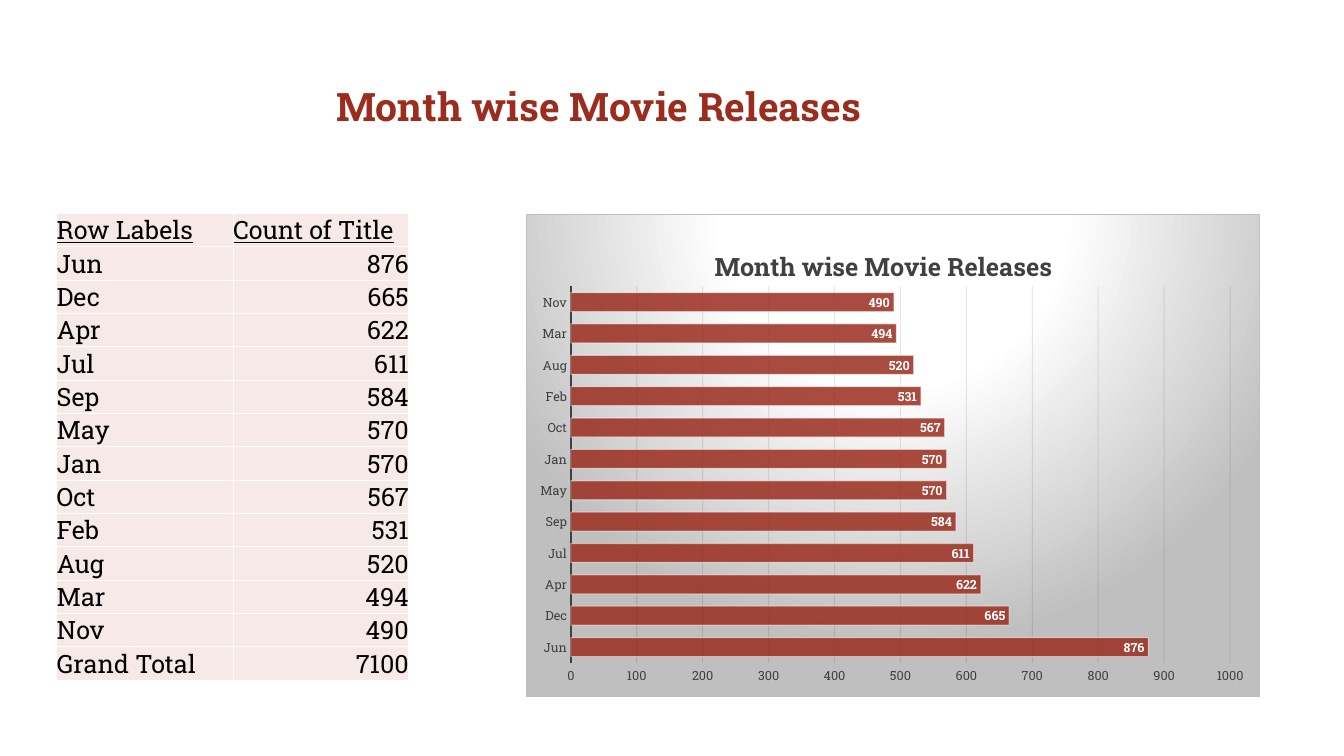
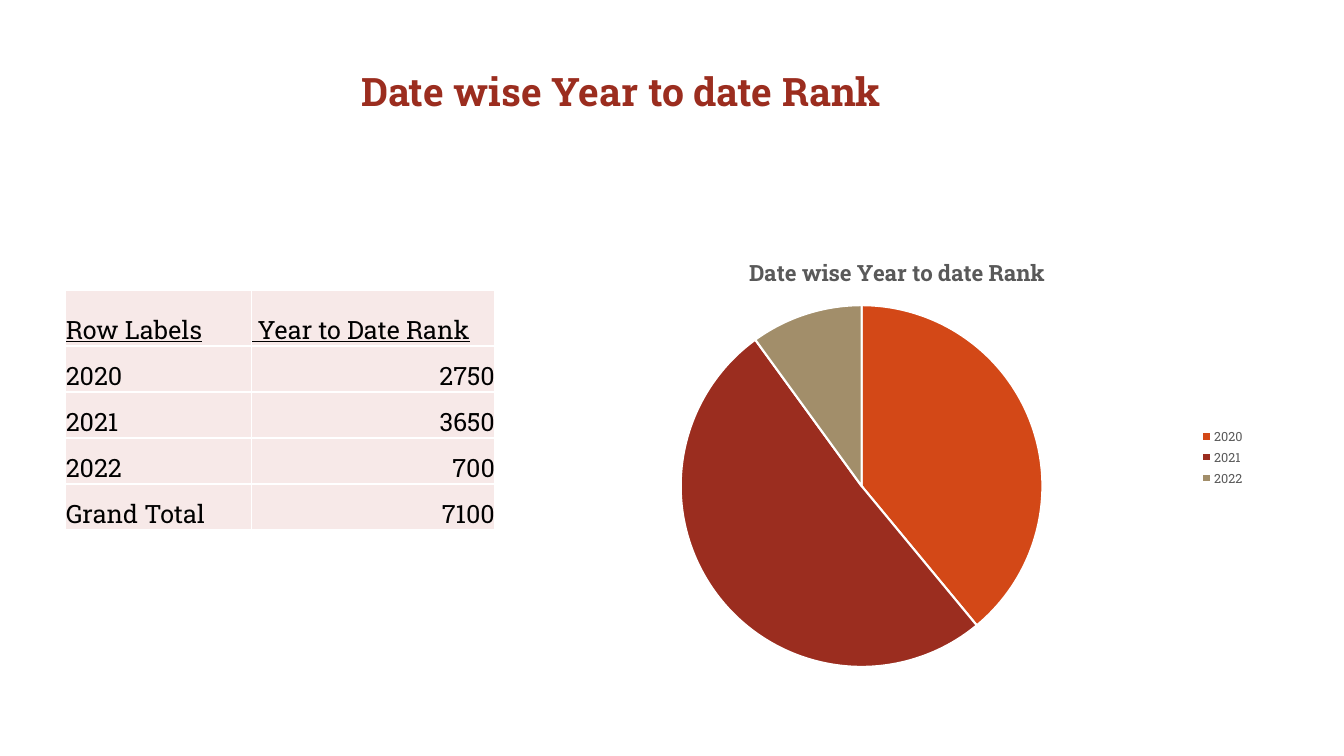
from dataclasses import dataclass

from lxml.etree import SubElement
from pptx import Presentation
from pptx.chart.chart import Chart
from pptx.chart.data import CategoryChartData
from pptx.dml.color import RGBColor
from pptx.enum.chart import XL_CHART_TYPE as ChartType
from pptx.enum.chart import XL_LABEL_POSITION as LabelPosition
from pptx.enum.chart import XL_LEGEND_POSITION as LegendPosition
from pptx.enum.chart import XL_TICK_MARK as TickMark
from pptx.enum.text import MSO_ANCHOR as Anchor
from pptx.enum.text import PP_ALIGN as Align
from pptx.oxml import parse_xml
from pptx.oxml.ns import nsdecls, qn
from pptx.slide import Slide
from pptx.text.text import Font
from pptx.util import Pt

FONT = "Roboto Slab"
COLORS = {
    "brick": "9B2D1F",
    "orange": "D34817",
    "khaki": "A28E6A",
    "blush": "F7E9E8",
    "white": "FFFFFF",
    "black": "000000",
    "ink": "0D0D0D",
    "dark": "404040",
    "gray": "595959",
    "silver": "BFBFBF",
}
TITLE_FORMAT = {"size": Pt(28), "bold": True}
CELL_FORMAT = {"size": Pt(18), "bold": False}
SMALL_FORMAT = {"size": Pt(9), "bold": False}
LABEL_FORMAT = {"size": Pt(9), "bold": True}


@dataclass
class Box:
    """A place on the slide, in points."""
    left: float
    top: float
    width: float
    height: float

    def lengths(self) -> tuple:
        return tuple(Pt(n) for n in (self.left, self.top, self.width, self.height))


@dataclass
class TableSpec:
    left: float
    top: float
    columns: list[float]
    heights: list[float]
    rows: list[tuple[str, str]]


@dataclass
class ChartSpec:
    kind: ChartType
    box: Box
    data: dict[str, int]
    title_size: float
    title_color: str
    title_layout: dict[str, float]  # fractions of the chart
    plot_layout: dict[str, float]


@dataclass
class Page:
    title: str
    title_box: Box
    table: TableSpec
    chart: ChartSpec


def rgb(name: str) -> RGBColor:
    return RGBColor.from_string(COLORS[name])


def format_font(font: Font, values: dict, color: str) -> None:
    for name, value in {"name": FONT, **values}.items():
        setattr(font, name, value)
    font.color.rgb = rgb(color)


def set_alpha(fill_parent, percent: int) -> None:
    """Make the solid color inside a fill or line element translucent."""
    color = fill_parent.find(qn("a:solidFill")).find(qn("a:srgbClr"))
    SubElement(color, qn("a:alpha")).set("val", str(percent * 1000))


def add_title(slide: Slide, text: str, box: Box) -> None:
    frame = slide.shapes.add_textbox(*box.lengths()).text_frame
    frame.word_wrap = True
    paragraph = frame.paragraphs[0]
    paragraph.alignment = Align.CENTER
    run = paragraph.add_run()
    run.text = text
    format_font(run.font, TITLE_FORMAT, "brick")


# Tables
def fill_cell(cell, text: str, is_header: bool, is_number: bool) -> None:
    for side in ("left", "top", "right", "bottom"):
        setattr(cell, f"margin_{side}", 0)
    cell.vertical_anchor = Anchor.BOTTOM
    properties = cell._tc.get_or_add_tcPr()
    for side in "LRTB":
        properties.append(parse_xml(
            f'<a:ln{side} {nsdecls("a")} w="{Pt(1)}"><a:solidFill>'
            f'<a:srgbClr val="{COLORS["white"]}"/></a:solidFill></a:ln{side}>'))
    cell.fill.solid()
    cell.fill.fore_color.rgb = rgb("blush")
    paragraph = cell.text_frame.paragraphs[0]
    paragraph.alignment = Align.RIGHT if is_number else Align.LEFT
    run = paragraph.add_run()
    run.text = text
    format_font(run.font, {**CELL_FORMAT, "underline": is_header}, "black")


def add_data_table(slide: Slide, spec: TableSpec) -> None:
    box = Box(spec.left, spec.top, sum(spec.columns), sum(spec.heights))
    table = slide.shapes.add_table(
        len(spec.rows), len(spec.columns), *box.lengths()).table
    table.first_row = table.horz_banding = False
    for column, width in zip(table.columns, spec.columns):
        column.width = Pt(width)
    for i, (height, texts) in enumerate(zip(spec.heights, spec.rows)):
        table.rows[i].height = Pt(height)
        for j, text in enumerate(texts):
            fill_cell(table.cell(i, j), text, i == 0, i > 0 and j > 0)


# Charts
def set_layout(parent, values: dict[str, float], inner: bool) -> None:
    """Place a chart part by fractions of the chart."""
    for old in parent.findall(qn("c:layout")):
        parent.remove(old)
    target = '<c:layoutTarget val="inner"/>' if inner else ""
    modes = '<c:xMode val="edge"/><c:yMode val="edge"/>'
    parts = "".join(f'<c:{key} val="{value}"/>' for key, value in values.items())
    layout = parse_xml(f'<c:layout {nsdecls("c")}><c:manualLayout>'
                       f'{target}{modes}{parts}</c:manualLayout></c:layout>')
    text = parent.find(qn("c:tx"))
    if text is None:
        parent.insert(0, layout)
    else:
        text.addnext(layout)


def style_bars(chart: Chart) -> None:
    plot = chart.plots[0]
    plot.gap_width = 65
    plot.vary_by_categories = False
    series = plot.series[0]
    series.format.fill.solid()
    series.format.fill.fore_color.rgb = rgb("brick")
    series.format.line.width = Pt(0.75)
    series.format.line.color.rgb = rgb("white")
    properties = series._element.find(qn("c:spPr"))
    set_alpha(properties, 85)
    set_alpha(properties.find(qn("a:ln")), 50)

    plot.has_data_labels = True
    labels = plot.data_labels
    labels.show_value = True
    labels.position = LabelPosition.INSIDE_END
    format_font(labels.font, LABEL_FORMAT, "white")

    months, counts = chart.category_axis, chart.value_axis
    for axis in (months, counts):
        axis.major_tick_mark = axis.minor_tick_mark = TickMark.NONE
        format_font(axis.tick_labels.font, SMALL_FORMAT, "dark")
    months.format.line.width = Pt(1.5)
    months.format.line.color.rgb = rgb("dark")
    counts.format.line.fill.background()
    for name, value in {"minimum_scale": 0, "maximum_scale": 1000,
                        "major_unit": 100, "has_major_gridlines": True}.items():
        setattr(counts, name, value)
    grid = counts.major_gridlines.format.line
    grid.width = Pt(0.75)
    grid.color.rgb = rgb("ink")
    grid_element = counts._element.find(qn("c:majorGridlines"))
    set_alpha(grid_element.find(qn("c:spPr")).find(qn("a:ln")), 10)

    # Radial background and border
    stops = "".join(
        f'<a:gs pos="{position * 1000}"><a:srgbClr val="{COLORS[color]}"/></a:gs>'
        for position, color in ((0, "white"), (39, "white"), (100, "silver")))
    chart._chartSpace.find(qn("c:chart")).addnext(parse_xml(
        f'<c:spPr {nsdecls("c", "a")}><a:gradFill><a:gsLst>{stops}</a:gsLst>'
        '<a:path path="circle"><a:fillToRect l="50000" t="-80000" r="50000" '
        f'b="180000"/></a:path></a:gradFill><a:ln w="{Pt(0.75)}"><a:solidFill>'
        f'<a:srgbClr val="{COLORS["silver"]}"/></a:solidFill></a:ln></c:spPr>'))


def style_pie(chart: Chart) -> None:
    plot = chart.plots[0]
    plot.vary_by_categories = True
    for i, color in enumerate(("orange", "brick", "khaki")):
        point = plot.series[0].points[i].format
        point.fill.solid()
        point.fill.fore_color.rgb = rgb(color)
        point.line.width = Pt(1.5)
        point.line.color.rgb = rgb("white")
    chart.has_legend = True
    chart.legend.position = LegendPosition.RIGHT
    chart.legend.include_in_layout = False
    format_font(chart.legend.font, SMALL_FORMAT, "gray")


def add_data_chart(slide: Slide, title: str, spec: ChartSpec) -> None:
    data = CategoryChartData()
    data.categories = list(spec.data)
    data.add_series("Series 1", list(spec.data.values()))
    chart = slide.shapes.add_chart(spec.kind, *spec.box.lengths(), data).chart
    chart.has_legend = False
    format_font(chart.font, {"size": Pt(10)}, "black")
    chart.has_title = True
    run = chart.chart_title.text_frame.paragraphs[0].add_run()
    run.text = title
    format_font(run.font, {"size": Pt(spec.title_size), "bold": True},
                spec.title_color)
    if spec.kind == ChartType.PIE:
        style_pie(chart)
    else:
        style_bars(chart)
    set_layout(chart.chart_title._element, spec.title_layout, inner=False)
    plot_area = chart._chartSpace.find(qn("c:chart")).find(qn("c:plotArea"))
    set_layout(plot_area, spec.plot_layout, inner=True)


# Content
RELEASES = {"Jun": 876, "Dec": 665, "Apr": 622, "Jul": 611, "Sep": 584, "May": 570,
            "Jan": 570, "Oct": 567, "Feb": 531, "Aug": 520, "Mar": 494, "Nov": 490}
RANKS = {"2020": 2750, "2021": 3650, "2022": 700}
RANK_SHARES = {"2020": 39, "2021": 51, "2022": 10}


def table_rows(heading: str, values: dict[str, int]) -> list[tuple[str, str]]:
    totals = {**values, "Grand Total": sum(values.values())}
    return [("Row Labels", heading), *((key, str(n)) for key, n in totals.items())]


PAGES = [
    Page("Month wise Movie Releases", Box(124, 55.5, 607, 41),
         TableSpec(40.5, 152.5, [126, 125.5], [21.6] * 14,
                   table_rows("Count of Title", RELEASES)),
         ChartSpec(ChartType.BAR_CLUSTERED, Box(376, 152.5, 524, 345.5), RELEASES,
                   18, "dark", {"x": 0.25, "y": 0.06},
                   {"x": 0.06, "y": 0.15, "w": 0.9, "h": 0.78})),
    Page("Date wise Year to date Rank", Box(156, 44.5, 575.5, 41),
         TableSpec(47, 207.5, [132.5, 174], [39.6] + [32.9] * 4,
                   table_rows(" Year to Date Rank", RANKS)),
         ChartSpec(ChartType.PIE, Box(376, 167, 520.5, 319), RANK_SHARES,
                   16, "gray", {"x": 0.3, "y": 0.04},
                   {"x": 0.21, "y": 0.16, "w": 0.5, "h": 0.81})),
]


def main() -> None:
    presentation = Presentation()
    presentation.slide_width, presentation.slide_height = Pt(960), Pt(540)
    for page in PAGES:
        slide = presentation.slides.add_slide(presentation.slide_layouts[6])
        add_data_chart(slide, page.title, page.chart)
        add_data_table(slide, page.table)
        add_title(slide, page.title, page.title_box)
    presentation.save("out.pptx")


if __name__ == "__main__":
    main()
